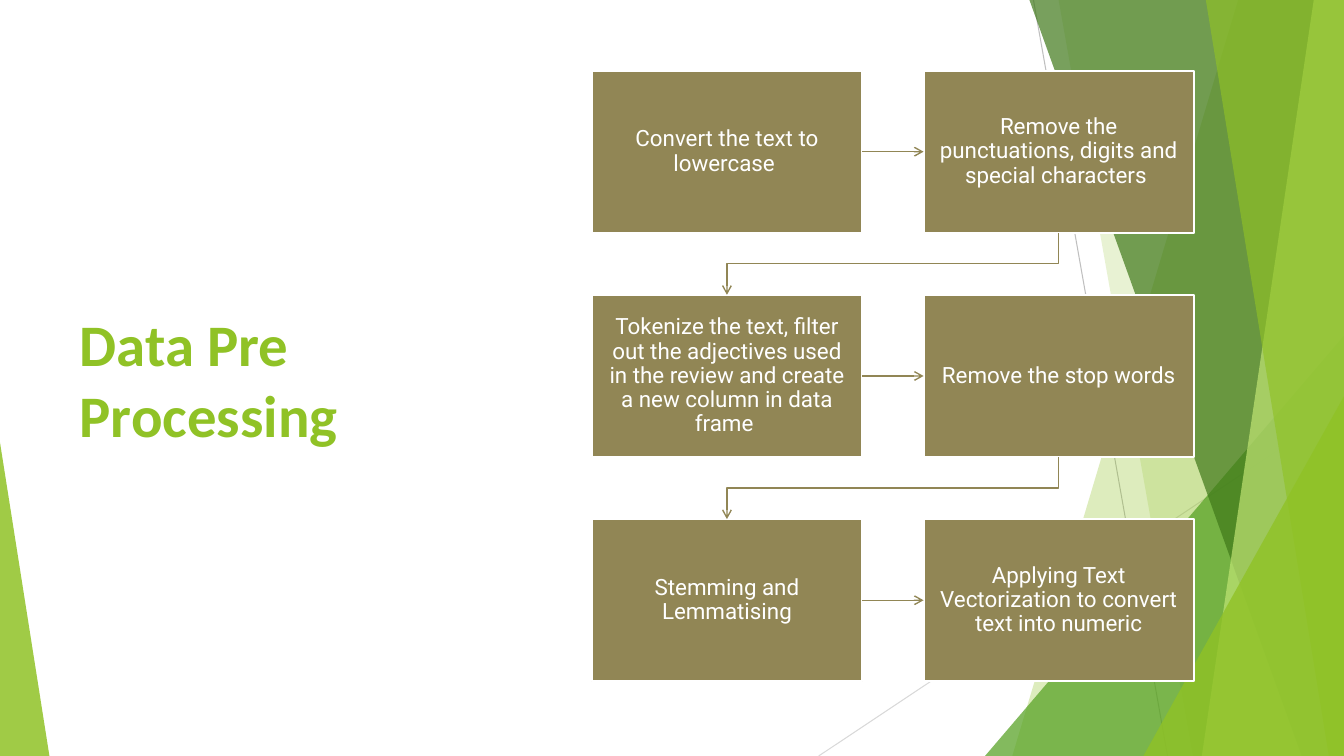
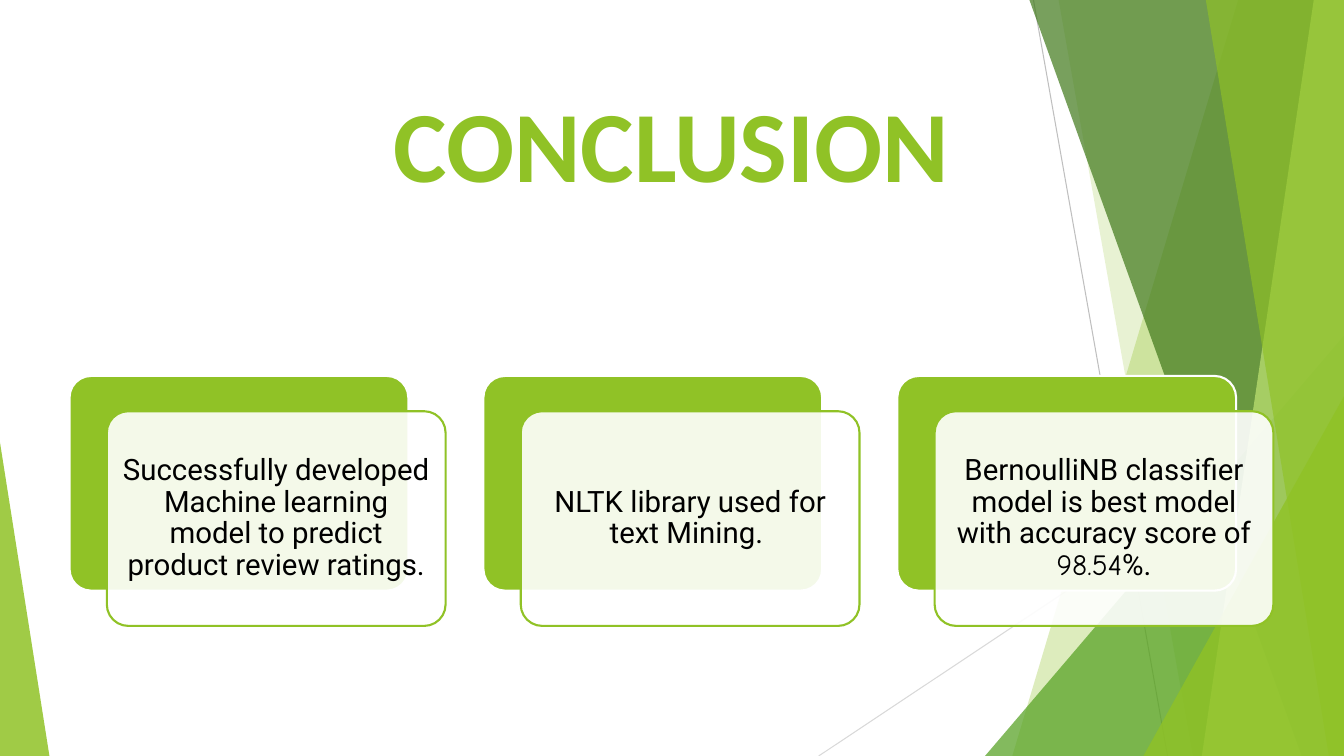
import lxml.etree
import pptx
import pptx.dml.color
import pptx.enum.dml
import pptx.enum.shapes
import pptx.enum.text
import pptx.oxml.ns
import pptx.util

Inches = pptx.util.Inches
Pt = pptx.util.Pt
RGBColor = pptx.dml.color.RGBColor
SHAPE = pptx.enum.shapes.MSO_SHAPE
CONNECTOR = pptx.enum.shapes.MSO_CONNECTOR
ALIGN = pptx.enum.text.PP_ALIGN
MIDDLE = pptx.enum.text.MSO_ANCHOR.MIDDLE
NO_FIT = pptx.enum.text.MSO_AUTO_SIZE.NONE

GREEN = RGBColor(0x90, 0xC2, 0x26)
MID_GREEN = RGBColor(0x54, 0xA0, 0x21)
DARK_GREEN = RGBColor(0x3F, 0x78, 0x19)
PALE_GREEN = RGBColor(0xC0, 0xE4, 0x74)
OLIVE = RGBColor(0x91, 0x86, 0x55)
GREY = RGBColor(0xBF, 0xBF, 0xBF)
LIGHT_GREY = RGBColor(0xD9, 0xD9, 0xD9)
WHITE = RGBColor(0xFF, 0xFF, 0xFF)
BLACK = RGBColor(0, 0, 0)

WIDTH, HEIGHT = 13.33, 7.5
TITLE_FONT, BODY_FONT, NUMBER_FONT = "Calibri", "Roboto", "Comic Neue"

RAYS = [
    ((10.25, 0), (11.58, HEIGHT), GREY),
    ((WIDTH, 4.03), (8.12, HEIGHT), LIGHT_GREY),
]
BANDS = [
    ("band", 12.28, 10.04, GREEN, 30),
    ("band", 10.5, 11.83, GREEN, 20),
    ("triangle", (9.77, 3.33, 3.56, 4.17), 1, MID_GREEN, 72),
    ("band", 10.21, 12.91, DARK_GREEN, 70),
    ("band", 13.03, 11.92, PALE_GREEN, 70),
    ("band", 11.96, 13.18, GREEN, 65),
    ("triangle", (11.34, 3.93, 1.99, 3.57), 1, GREEN, 80),
    ("triangle", (0, 4.39, 0.49, 3.11), 0, GREEN, 85),
]
STEPS = [
    "Convert the text to lowercase ",
    "Remove the punctuations, digits and special characters ",
    "Tokenize the text, filter out the adjectives used in the review and create a new column in data frame ",
    "Remove the stop words",
    "Stemming and Lemmatising",
    "Applying Text Vectorization to convert text into numeric",
]
CONCLUSIONS = [
    [("Successfully developed Machine learning model to predict product review ratings.", BODY_FONT)],
    [("NLTK library used for text Mining. ", BODY_FONT)],
    [
        ("BernoulliNB classifier model is best model with accuracy score of ", BODY_FONT),
        ("98.54", NUMBER_FONT),
        ("%.", BODY_FONT),
    ],
]


def set_format(target, **values):
    """Set every given attribute on the target."""
    for name, value in values.items():
        setattr(target, name, value)


def add_child(parent, tag, **attributes):
    """Append a drawing element to the parent."""
    return lxml.etree.SubElement(parent, pptx.oxml.ns.qn(tag), attributes)


def paint(shape, fill, opacity=100, line=None):
    """Give a shape its fill, opacity and outline, without shadow."""
    shape.shadow.inherit = False
    shape.fill.solid()
    shape.fill.fore_color.rgb = fill
    if opacity < 100:
        color = shape.fill._xPr.find(".//" + pptx.oxml.ns.qn("a:srgbClr"))
        add_child(color, "a:alpha", val=str(opacity * 1000))
    if line is None:
        shape.line.fill.background()
    else:
        shape.line.color.rgb = line
        shape.line.width = Pt(1.5)


def add_box(page, kind, box, **look):
    """Add a painted preset shape in the box."""
    shape = page.shapes.add_shape(kind, *map(Inches, box))
    paint(shape, **look)
    return shape


def add_line(page, kind, start, end, color, width):
    """Add a plain connector between two points."""
    line = page.shapes.add_connector(kind, *map(Inches, start + end))
    line.line.color.rgb = color
    line.line.width = Pt(width)
    add_child(line._element.spPr, "a:effectLst")
    return line


def add_arrow(page, kind, source, source_side, target, target_side):
    """Join two boxes with an arrow."""
    arrow = add_line(page, kind, (0, 0), (1, 1), OLIVE, 1)
    arrow.begin_connect(source, source_side)
    arrow.end_connect(target, target_side)
    add_child(arrow.line._get_or_add_ln(), "a:tailEnd", type="arrow")
    return arrow


def turn_elbow(arrow):
    """Make an elbow that runs down and left leave vertically."""
    left, top, width, height = arrow.left, arrow.top, arrow.width, arrow.height
    frame = arrow._element.spPr.xfrm
    set_format(frame, flipH=False, rot=90)
    set_format(
        arrow,
        left=left + (width - height) // 2,
        top=top + (height - width) // 2,
        width=height,
        height=width,
    )


def write(shape, spans, size, color, side, upright):
    """Write centred spans of text into a shape."""
    frame = shape.text_frame
    set_format(
        frame, word_wrap=True, vertical_anchor=MIDDLE,
        margin_left=Inches(side), margin_right=Inches(side),
        margin_top=Inches(upright), margin_bottom=Inches(upright),
    )
    para = frame.paragraphs[0]
    set_format(para, alignment=ALIGN.CENTER, line_spacing=0.9)
    for text, font in spans:
        span = para.add_run()
        span.text = text
        set_format(span.font, name=font, size=Pt(size))
        span.font.color.rgb = color


def add_backdrop(page):
    """Draw the rays, bands and triangles that all slides share."""
    for start, end, color in RAYS:
        add_line(page, CONNECTOR.STRAIGHT, start, end, color, 0.75)
    for kind, place, foot, color, opacity in BANDS:
        if kind == "band":
            points = [(place, 0), (WIDTH, 0), (WIDTH, HEIGHT), (foot, HEIGHT)]
            corners = [tuple(map(Inches, point)) for point in points]
            outline = page.shapes.build_freeform(*corners[0])
            outline.add_line_segments(corners[1:], close=True)
            paint(outline.convert_to_shape(), color, opacity)
        else:
            triangle = add_box(page, SHAPE.ISOSCELES_TRIANGLE, place, fill=color, opacity=opacity)
            triangle.adjustments[0] = foot


def add_page(deck, title, box, size, alignment):
    """Add a slide with the backdrop and a formatted title."""
    page = deck.slides.add_slide(deck.slide_layouts[5])
    add_backdrop(page)
    left, top, width, height = map(Inches, box)
    set_format(page.shapes.title, left=left, top=top, width=width, height=height)
    frame = page.shapes.title.text_frame
    frame.text = title
    set_format(frame, word_wrap=True, auto_size=NO_FIT, vertical_anchor=MIDDLE)
    para = frame.paragraphs[0]
    para.alignment = alignment
    set_format(para.runs[0].font, name=TITLE_FONT, size=Pt(size), bold=True)
    para.runs[0].font.color.rgb = GREEN
    return page


def add_flow(page, box, steps, columns=2):
    """Lay the steps out in rows and join them with arrows."""
    left, top, width, height = box
    step_width, step_height = 2.68, 1.61
    rows = len(steps) // columns
    across = (width - step_width) / (columns - 1)
    down = (height - step_height) / (rows - 1)
    shapes = []
    for index, text in enumerate(steps):
        row, column = divmod(index, columns)
        place = (left + column * across, top + row * down, step_width, step_height)
        shape = add_box(page, SHAPE.RECTANGLE, place, fill=OLIVE, line=WHITE)
        write(shape, [(text, BODY_FONT)], 16, WHITE, 0.13, 0.14)
        shapes.append(shape)
    for index, (source, target) in enumerate(zip(shapes, shapes[1:]), 1):
        if index % columns:
            add_arrow(page, CONNECTOR.STRAIGHT, source, 3, target, 1)
        else:
            turn_elbow(add_arrow(page, CONNECTOR.ELBOW, source, 2, target, 0))


def add_cards(page, box, cards):
    """Lay out cards, each a white panel over a green one."""
    left, top, width, height = box
    shift_x, shift_y = 0.37, 0.35
    panel_width, panel_height = 3.36, height - shift_y
    across = (width - panel_width - shift_x) / (len(cards) - 1)
    for index, spans in enumerate(cards):
        x = left + index * across
        back = (x, top, panel_width, panel_height)
        front = (x + shift_x, top + shift_y, panel_width, panel_height)
        add_box(page, SHAPE.ROUNDED_RECTANGLE, back, fill=GREEN, line=WHITE).adjustments[0] = 0.1
        panel = add_box(page, SHAPE.ROUNDED_RECTANGLE, front, fill=WHITE, opacity=90, line=GREEN)
        panel.adjustments[0] = 0.1
        write(panel, spans, 21, BLACK, 0.09, 0.09)


def main():
    """Build and save the deck."""
    deck = pptx.Presentation()
    set_format(deck, slide_width=Inches(WIDTH), slide_height=Inches(HEIGHT))
    page = add_page(deck, "Data Pre Processing", (0.69, 0.7, 3.74, 6.11), 42, ALIGN.LEFT)
    add_flow(page, (5.87, 0.7, 5.97, 6.06), STEPS)
    page = add_page(deck, "CONCLUSION", (0.69, 0.69, 11.94, 1.44), 72, ALIGN.CENTER)
    add_cards(page, (0.69, 3.73, 11.94, 2.48), CONCLUSIONS)
    deck.save("out.pptx")


if __name__ == "__main__":
    main()
